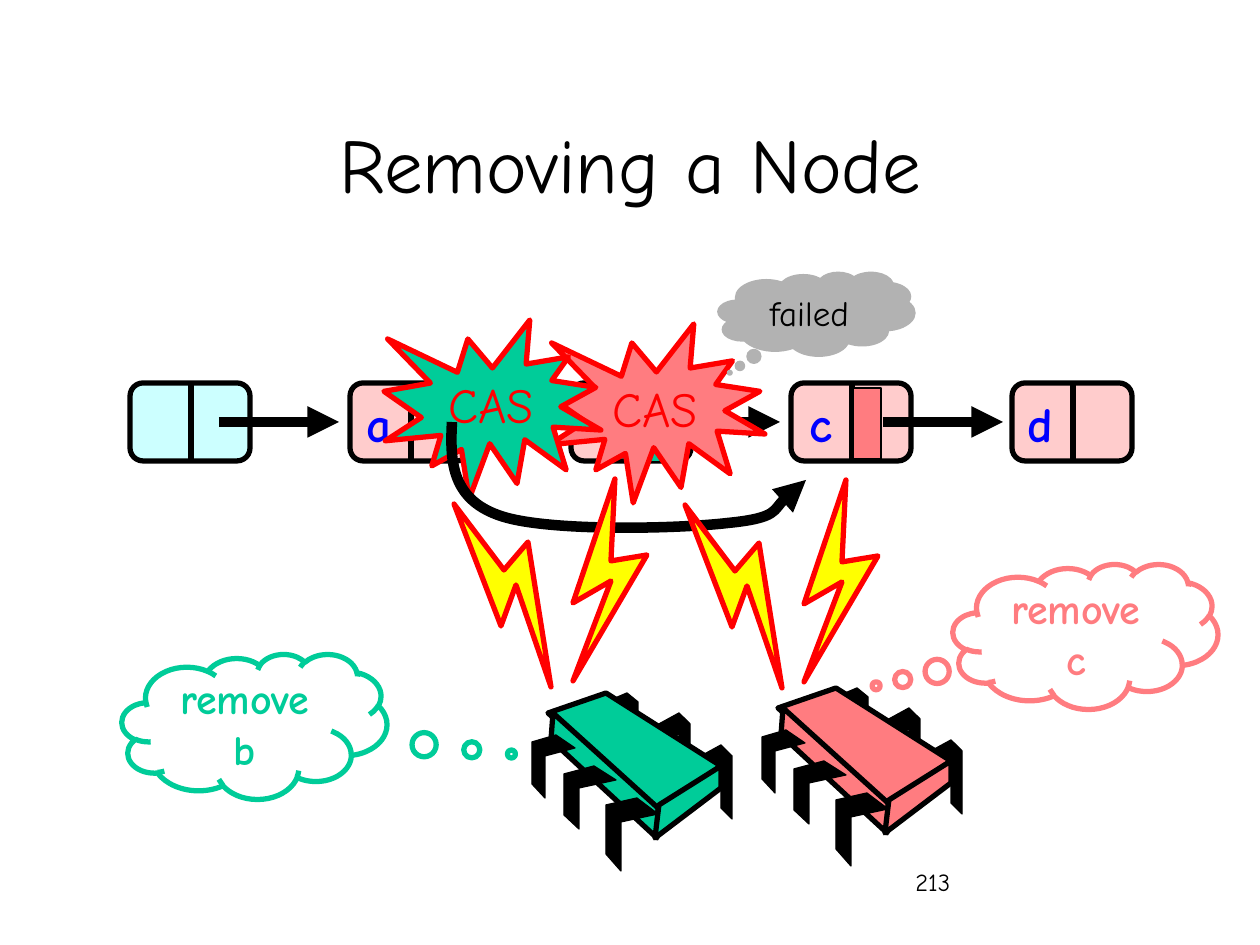
from lxml.etree import SubElement
from pptx import Presentation
from pptx.dml.color import RGBColor
from pptx.enum.shapes import MSO_CONNECTOR, MSO_SHAPE
from pptx.enum.text import MSO_ANCHOR, PP_ALIGN
from pptx.oxml.ns import qn
from pptx.util import Pt

SCALE = 914400 / 126
FONT = "Comic Neue"
BLACK, RED, BLUE, YELLOW = "000000", "FF0000", "0000FF", "FFFF00"
GREEN, PINK, ROSE, CYAN, GRAY = "00CC99", "FF7C80", "FFCCCC", "CCFFFF", "B2B2B2"

BACK_LEG = [(169, 63), (189, 52), (200, 63), (200, 126), (189, 115), (189, 73), (169, 83)]
FAR_LEG = [(74, 9), (95, 0), (106, 9), (106, 63), (95, 54), (95, 18), (74, 26)]
CHIP_FACES = [
    [(74, 0), (189, 73), (125, 117), (16, 20)],
    [(21, 20), (126, 115), (125, 145), (19, 47)],
    [(189, 73), (189, 95), (123, 145), (127, 112)],
]
FRONT_LEGS = [
    [(105, 105), (126, 121), (89, 129), (89, 178), (74, 161), (74, 112)],
    [(62, 73), (84, 87), (47, 95), (47, 136), (32, 122), (32, 81)],
    [(24, 42), (43, 55), (13, 63), (13, 105), (0, 91), (0, 49)],
]
BOLTS = [
    [(846, 480), (804, 604), (842, 582), (804, 682), (878, 556), (842, 562)],
    [(685, 505), (732, 627), (747, 586), (782, 688), (759, 543), (735, 571)],
]
BYPASS = [(452, 422), (450, 460), (451, 498), (498, 515), (543, 532),
          (677, 529), (728, 523), (779, 518), (790, 489), (806, 480)]


def px(*lengths):
    return [round(n * SCALE) for n in lengths]


def rgb(color):
    return RGBColor.from_string(color)


def shift(points, dx, dy):
    return [(x + dx, y + dy) for x, y in points]


class Deck:
    """Holds the presentation, the current slide and its drawing style."""

    def __init__(self, width, height):
        self.prs = Presentation()
        self.prs.slide_width, self.prs.slide_height = px(width, height)
        self.s = self.prs.slides.add_slide(self.prs.slide_layouts[5])
        self.shapes = self.s.shapes

    def group(self):
        self.shapes = self.s.shapes.add_group_shape().shapes

    def ungroup(self):
        self.shapes = self.s.shapes

    def label(self, sp, text, size, color, bold=False, align=PP_ALIGN.CENTER,
              anchor=MSO_ANCHOR.MIDDLE, wrap=True):
        tf = sp.text_frame
        tf.text = text
        tf.word_wrap = wrap
        tf.vertical_anchor = anchor
        p = tf.paragraphs[0]
        p.alignment = align
        p.font.name, p.font.size, p.font.bold = FONT, Pt(size), bold
        p.font.color.rgb = rgb(color)

    def paint(self, sp, fill, line, weight):
        sp.shadow.inherit = False
        if fill:
            sp.fill.solid()
            sp.fill.fore_color.rgb = rgb(fill)
        else:
            sp.fill.background()
        sp.line.color.rgb = rgb(line)
        sp.line.width = Pt(weight)

    def title(self, box, text):
        sp = self.s.shapes.title
        sp.left, sp.top, sp.width, sp.height = px(*box)
        self.label(sp, text, 44, BLACK)

    def text(self, box, text, size, color, **style):
        sp = self.shapes.add_textbox(*px(*box))
        self.label(sp, text, size, color, anchor=MSO_ANCHOR.TOP, **style)

    def shape(self, kind, box, fill, line, weight=3, adj=()):
        sp = self.shapes.add_shape(kind, *px(*box))
        for i, value in enumerate(adj):
            sp.adjustments[i] = value
        self.paint(sp, fill, line, weight)
        return sp

    def arrowhead(self, sp):
        ln = sp._element.spPr.find(qn("a:ln"))
        SubElement(ln, qn("a:tailEnd"), type="triangle")

    def line(self, x1, y1, x2, y2, weight=3, arrow=False):
        sp = self.shapes.add_connector(MSO_CONNECTOR.STRAIGHT, *px(x1, y1, x2, y2))
        sp.line.color.rgb = rgb(BLACK)
        sp.line.width = Pt(weight)
        if arrow:
            self.arrowhead(sp)
        SubElement(sp._element.spPr, qn("a:effectLst"))

    def outline(self, points, fill, line=BLACK, weight=3, close=True):
        fb = self.shapes.build_freeform(*points[0], scale=SCALE)
        fb.add_line_segments(points[1:], close=close)
        sp = fb.convert_to_shape()
        self.paint(sp, fill, line, weight)
        return sp

    def curve_arrow(self, points):
        sp = self.outline(points, None, weight=6, close=False)
        segments = list(sp._element.iter(qn("a:lnTo")))
        for i in range(0, len(segments), 3):
            first, *others = segments[i:i + 3]
            first.tag = qn("a:cubicBezTo")
            for seg in others:
                first.append(seg[0])
                seg.getparent().remove(seg)
        self.arrowhead(sp)

    def node(self, index, letter, fill=ROSE):
        x = 130 + index * 441 // 2
        self.group()
        self.shape(MSO_SHAPE.ROUNDED_RECTANGLE, (x, 383, 120, 78), fill, BLACK, adj=[0.167])
        self.line(x + 61, 382, x + 61, 462)
        if letter:
            self.text((x + 1, 387, 53, 72), letter, 28, BLUE, bold=True,
                      align=PP_ALIGN.RIGHT, wrap=False)
        self.ungroup()

    def link(self, x):
        self.line(x, 422, x + 120, 422, weight=6, arrow=True)

    def chip(self, x, y, color):
        self.group()
        for leg in (BACK_LEG, shift(BACK_LEG, -42, -32), FAR_LEG):
            self.outline(shift(leg, x, y), BLACK, weight=0.75)
        for face in CHIP_FACES:
            self.outline(shift(face, x, y), color)
        for leg in FRONT_LEGS:
            self.outline(shift(leg, x, y), BLACK, weight=0.75)
        self.ungroup()

    def thought(self, box, adj, text, size, color, line, fill=None, weight=3, bold=True):
        sp = self.shape(MSO_SHAPE.CLOUD_CALLOUT, box, fill, line, weight, adj)
        self.label(sp, text, size, color, bold=bold)

    def burst(self, x, y, fill):
        sp = self.shape(MSO_SHAPE.EXPLOSION1, (x, y, 217, 179), fill, RED)
        self.label(sp, "CAS", 28, RED, wrap=False)


def main():
    d = Deck(1260, 945)
    d.text((903, 861, 262, 63), "213", 14, BLACK, align=PP_ALIGN.LEFT)
    d.title((95, 84, 1071, 158), "Removing a Node")
    d.node(0, "", CYAN)
    d.node(1, "a")
    d.node(2, "b")
    d.link(219)
    d.link(442)
    d.chip(532, 693, GREEN)
    d.node(4, "d")
    d.link(660)
    d.chip(762, 688, PINK)
    d.thought((122, 654, 265, 145), (0.97, 0.19), "remove b", 24, GREEN, GREEN)
    d.thought((953, 564, 265, 145), (-0.79, 0.34), "remove c", 24, PINK, PINK)
    d.node(3, "c")
    d.shape(MSO_SHAPE.RECTANGLE, (853, 388, 28, 71), PINK, BLACK, 0.75)
    d.shape(MSO_SHAPE.RECTANGLE, (634, 391, 28, 71), GREEN, BLACK, 0.75)
    d.burst(548, 324, PINK)
    d.burst(384, 320, GREEN)
    d.curve_arrow(BYPASS)
    d.thought((718, 272, 197, 84), (-0.44, 0.7), "failed", 20, BLACK, GRAY,
              fill=GRAY, weight=0.75, bold=False)
    for dx, dy in ((0, 0), (-231, -1)):
        for bolt in BOLTS:
            d.outline(shift(bolt, dx, dy), YELLOW, RED)
    d.link(883)
    d.prs.save("out.pptx")


if __name__ == "__main__":
    main()
